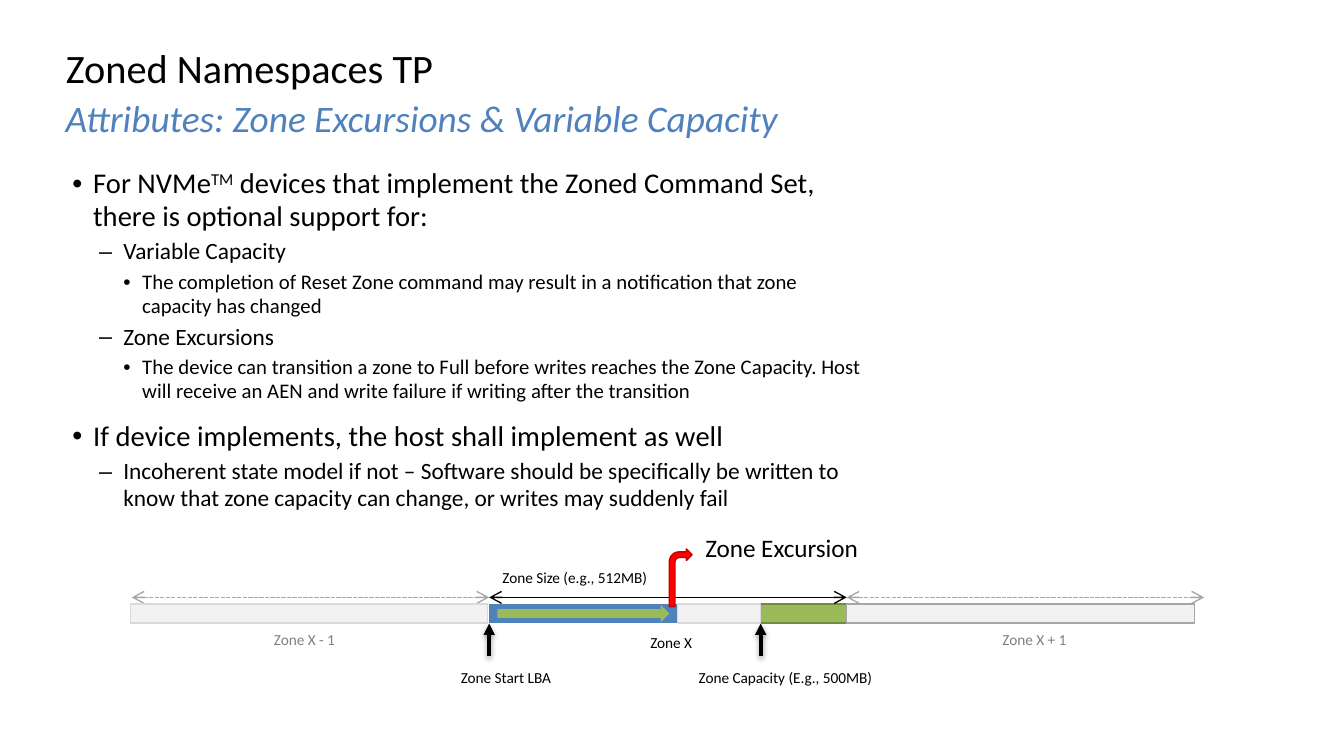
from lxml.etree import SubElement
from pptx import Presentation
from pptx.dml.color import RGBColor
from pptx.enum.dml import MSO_LINE
from pptx.enum.shapes import MSO_CONNECTOR, MSO_SHAPE
from pptx.enum.text import MSO_ANCHOR, MSO_AUTO_SIZE, PP_ALIGN
from pptx.oxml.ns import qn
from pptx.util import Emu, Pt

PX = 4572
FONT = "Calibri"
COLORS = {
    "black": "000000",
    "blue": "4F81BD",
    "green": "9BBB59",
    "dark_green": "738A42",
    "red": "FF0000",
    "dark_red": "C00000",
    "pale": "F2F2F2",
    "light": "D9D9D9",
    "mid": "A6A6A6",
    "gray": "808080",
}
LEVELS = [
    {"size": 15.3, "margin": 31, "hanging": 31, "before": 9, "bullet": "•"},
    {"size": 12.5, "margin": 76, "hanging": 36, "before": 3, "bullet": "–"},
    {"size": 11.1, "margin": 104, "hanging": 28, "before": 3, "bullet": "•"},
]
OUTLINE = [
    (0, [("For NVMe", 0), ("TM", 30000),
         (" devices that implement the Zoned Command Set, there is optional support for:", 0)]),
    (1, [("Variable Capacity", 0)]),
    (2, [("The completion of Reset Zone command may result in a notification "
          "that zone capacity has changed", 0)]),
    (1, [("Zone Excursions", 0)]),
    (2, [("The device can transition a zone to Full before writes reaches the Zone Capacity. "
          "Host will receive an AEN and write failure if writing after the transition", 0)]),
    (0, [("If device implements, the host shall implement as well", 0)]),
    (1, [("Incoherent state model if not – Software should be specifically be written to "
          "know that zone capacity can change, or writes may suddenly fail", 0)]),
]
BAR_TOP, BAR_HEIGHT = 899, 28
SPAN_Y = 889
ZONE_START, EXCURSION, CAPACITY, ZONE_END = 728, 1008, 1132, 1260


def px(length):
    """Turn px into EMU."""
    return Emu(length * PX)


def rgb(color):
    """Look up a named colour."""
    return RGBColor.from_string(COLORS[color])


def write(paragraph, text, size=8.2, color="black", italic=False, baseline=0):
    """Add one formatted run of text."""
    run = paragraph.add_run()
    run.text = text
    font = run.font
    font.name, font.size, font.bold, font.italic = FONT, Pt(size), False, italic
    font.color.rgb = rgb(color)
    if baseline:
        run._r.get_or_add_rPr().set("baseline", str(baseline))


def add_title(slide, text):
    """Fill the title placeholder."""
    title = slide.shapes.title
    title.left, title.top, title.width, title.height = map(px, (78, 60, 1844, 80))
    frame = title.text_frame
    frame.auto_size = MSO_AUTO_SIZE.NONE
    frame.vertical_anchor = MSO_ANCHOR.MIDDLE
    frame.paragraphs[0].alignment = PP_ALIGN.LEFT
    write(frame.paragraphs[0], text, size=21.6)


def add_text(slide, text, left, top, width, height=48, wrap=False, **style):
    """Add a one-line text box."""
    frame = slide.shapes.add_textbox(*map(px, (left, top, width, height))).text_frame
    frame.word_wrap = wrap
    frame.vertical_anchor = MSO_ANCHOR.MIDDLE if wrap else MSO_ANCHOR.TOP
    frame.auto_size = MSO_AUTO_SIZE.NONE if wrap else MSO_AUTO_SIZE.SHAPE_TO_FIT_TEXT
    write(frame.paragraphs[0], text, **style)


def add_outline(slide):
    """Add the bulleted outline."""
    frame = slide.shapes.add_textbox(*map(px, (88, 240, 1214, 550))).text_frame
    frame.word_wrap = True
    for index, (depth, runs) in enumerate(OUTLINE):
        paragraph = frame.add_paragraph() if index else frame.paragraphs[0]
        level = LEVELS[depth]
        paragraph.level = depth
        paragraph.line_spacing = 0.95
        paragraph.space_before = Pt(level["before"])
        properties = paragraph._p.get_or_add_pPr()
        properties.set("marL", str(px(level["margin"])))
        properties.set("indent", str(px(-level["hanging"])))
        SubElement(properties, qn("a:buFont"), typeface="Arial")
        SubElement(properties, qn("a:buChar"), char=level["bullet"])
        for text, baseline in runs:
            write(paragraph, text, size=level["size"], baseline=baseline)


def add_block(slide, left, right, fill, line=None, top=BAR_TOP, height=BAR_HEIGHT,
              kind=MSO_SHAPE.RECTANGLE):
    """Add a filled shape spanning left to right."""
    block = slide.shapes.add_shape(kind, *map(px, (left, top, right - left, height)))
    block.shadow.inherit = False
    block.fill.solid()
    block.fill.fore_color.rgb = rgb(fill)
    if line:
        block.line.color.rgb = rgb(line)
        block.line.width = Pt(0.75)
    else:
        block.line.fill.background()


def add_arrow(slide, start, end, color="black", width=0.75, dash=None, ends=()):
    """Add a line with arrowheads and return its effect list."""
    arrow = slide.shapes.add_connector(MSO_CONNECTOR.STRAIGHT, *map(px, start + end))
    arrow.line.color.rgb = rgb(color)
    arrow.line.width = Pt(width)
    if dash:
        arrow.line.dash_style = dash
    for tag, head in ends:
        SubElement(arrow.line._get_or_add_ln(), qn(tag), type=head)
    return SubElement(arrow._element.spPr, qn("a:effectLst"))


def add_span(slide, left, right, **style):
    """Add a double-headed arrow over a zone."""
    add_arrow(slide, (left, SPAN_Y), (right, SPAN_Y),
              ends=[("a:headEnd", "arrow"), ("a:tailEnd", "arrow")], **style)


def add_pointer(slide, x):
    """Add a shadowed arrow pointing up at the bar."""
    effects = add_arrow(slide, (x, 976), (x, 928), width=2, ends=[("a:tailEnd", "triangle")])
    shadow = SubElement(effects, qn("a:outerShdw"), blurRad=str(Pt(3.1)), dist=str(Pt(1.6)),
                        dir="5400000", rotWithShape="0")
    tint = SubElement(shadow, qn("a:srgbClr"), val=COLORS["black"])
    SubElement(tint, qn("a:alpha"), val="38000")


def add_zone_diagram(slide):
    """Add the zone bar with its spans, pointers and labels."""
    add_block(slide, ZONE_START, EXCURSION, "blue")
    add_block(slide, CAPACITY, ZONE_END, "green", "dark_green")
    for x in (CAPACITY, ZONE_START):
        add_pointer(slide, x)
    add_span(slide, ZONE_START, ZONE_END)
    for left, right in ((196, ZONE_START), (ZONE_END, 1792)):
        add_span(slide, left, right, color="mid", dash=MSO_LINE.SQUARE_DOT)
    add_block(slide, 194, 726, "pale", "light")
    add_block(slide, ZONE_END, 1778, "pale", "mid")
    add_block(slide, 996, 1030, "red", "dark_red", top=817, height=86, kind=MSO_SHAPE.BENT_ARROW)
    add_block(slide, EXCURSION, CAPACITY, "pale", "light")
    add_block(slide, 740, 996, "green", top=900, height=26, kind=MSO_SHAPE.RIGHT_ARROW)
    for text, left, top, width, color in (
        ("Zone Capacity (E.g., 500MB)", 1020, 984, 304, "black"),
        ("Zone Size (e.g., 512MB)", 728, 836, 260, "black"),
        ("Zone Start LBA", 666, 984, 178, "black"),
        ("Zone X", 948, 933, 104, "black"),
        ("Zone X - 1", 388, 928, 134, "gray"),
        ("Zone X + 1", 1472, 928, 138, "gray"),
    ):
        add_text(slide, text, left, top, width, color=color)
    add_text(slide, "Zone Excursion", 1030, 782, 272, 66, size=13.5)


def main():
    """Build and save the slide."""
    deck = Presentation()
    deck.slide_width, deck.slide_height = px(2000), px(1125)
    slide = deck.slides.add_slide(deck.slide_layouts[5])
    add_title(slide, "Zoned Namespaces TP")
    add_outline(slide)
    add_text(slide, "Attributes: Zone Excursions & Variable Capacity", 78, 145, 1844, 60,
             wrap=True, size=20, color="blue", italic=True)
    add_zone_diagram(slide)
    deck.save("out.pptx")


if __name__ == "__main__":
    main()
